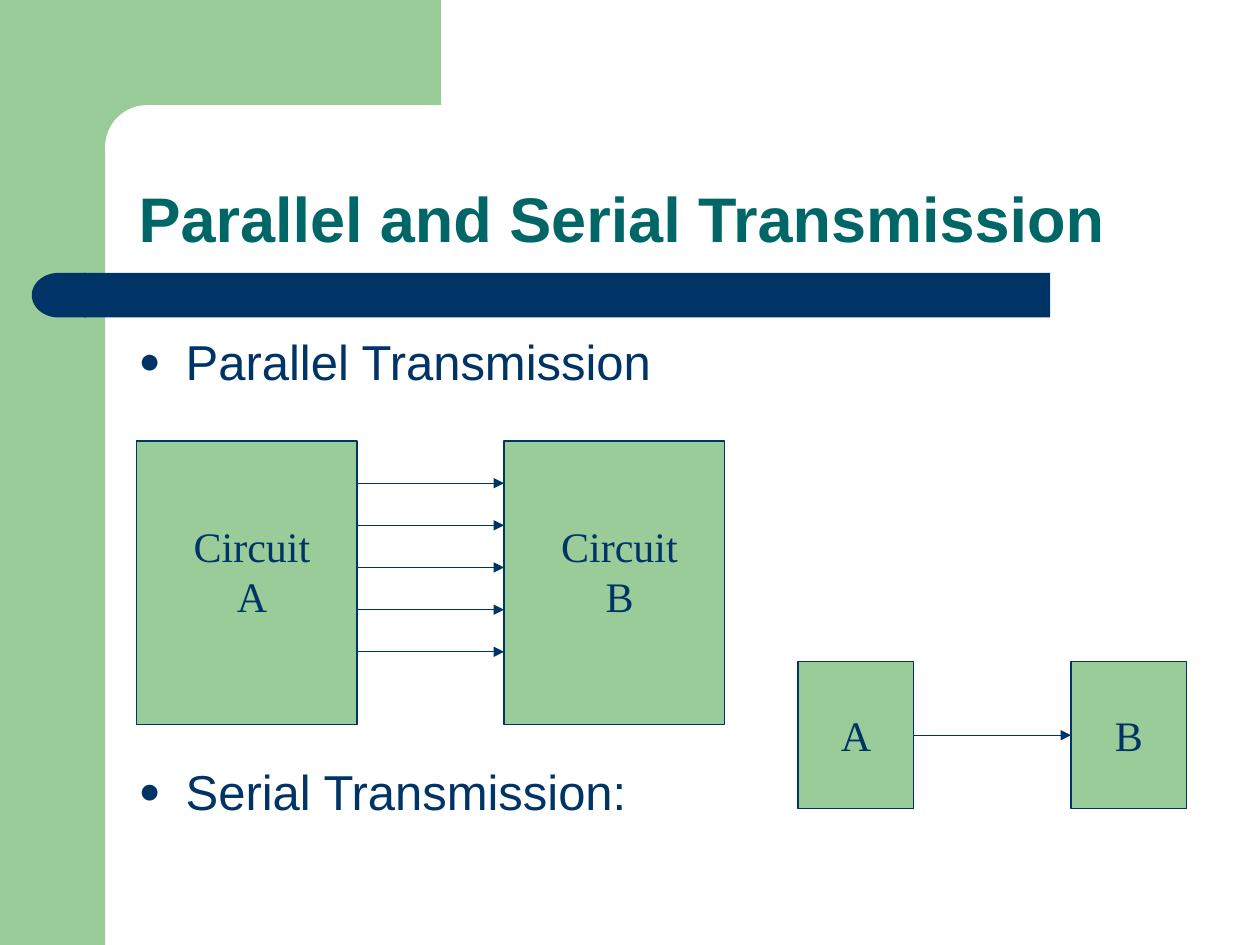
from lxml.etree import SubElement
from pptx import Presentation
from pptx.dml.color import RGBColor
from pptx.enum.shapes import MSO_CONNECTOR, MSO_SHAPE
from pptx.enum.text import MSO_ANCHOR, MSO_AUTO_SIZE, PP_ALIGN
from pptx.oxml.ns import qn
from pptx.util import Cm, Pt

GREEN, NAVY, TEAL, WHITE = "99CC99", "003366", "006666", "FFFFFF"
SANS, SERIF = "Arial", "Times New Roman"

# Content (lengths in cm)
TITLE = "Parallel and Serial Transmission"
BULLETS = [("Parallel Transmission", 7), ("Serial Transmission:", 212)]  # text, space before in pt
DECOR = [  # shape, box, fill
    (MSO_SHAPE.RECTANGLE, (0, 0, 2.12, 19.05), GREEN),
    (MSO_SHAPE.RECTANGLE, (1.9, 0, 6.99, 2.96), GREEN),
    (MSO_SHAPE.ROUNDED_RECTANGLE, (2.12, 2.12, 14.17, 1.69), WHITE),
    (MSO_SHAPE.RECTANGLE, (1.69, 5.5, 19.48, 0.9), NAVY),
    (MSO_SHAPE.FLOWCHART_DELAY, (0.64, 5.5, 1.09, 0.9), NAVY),
]
CIRCUITS = [("Circuit A", 2.75), ("Circuit B", 10.16)]
CIRCUIT_TOP, CIRCUIT_W, CIRCUIT_H = 8.89, 4.45, 5.72
WIRES, WIRE_TOP, WIRE_STEP = 5, 9.74, 0.85
ENDS = [("A", 16.09), ("B", 21.59)]
END_TOP, END_W, END_H, SERIAL_Y = 13.34, 2.33, 2.96, 14.82


def rgb(color):
    return RGBColor.from_string(color)


def cm(*values):
    return [Cm(v) for v in values]


def add_box(kind, box, fill, line=None):
    sp = s.shapes.add_shape(kind, *cm(*box))
    sp.shadow.inherit = False
    sp.fill.solid()
    sp.fill.fore_color.rgb = rgb(fill)
    if line:
        sp.line.color.rgb = rgb(line)
        sp.line.width = Pt(0.75)
    else:
        sp.line.fill.background()
    return sp


def add_run(p, text, font, size, color, bold=False):
    r = p.add_run()
    r.text = text
    r.font.name, r.font.size, r.font.bold = font, Pt(size), bold
    r.font.color.rgb = rgb(color)


def add_label(sp, text, anchor, wrap, before=0):
    tf = sp.text_frame
    tf.word_wrap, tf.vertical_anchor = wrap, anchor
    p = tf.paragraphs[0]
    p.alignment, p.space_before = PP_ALIGN.CENTER, Pt(before)
    add_run(p, text, SERIF, 24, NAVY)


def add_arrow(x1, x2, y):
    c = s.shapes.add_connector(MSO_CONNECTOR.STRAIGHT, *cm(x1, y, x2, y))
    c.line.color.rgb = rgb(NAVY)
    c.line.width = Pt(0.75)
    SubElement(c.line._get_or_add_ln(), qn("a:tailEnd"), type="triangle")
    SubElement(c._element.spPr, qn("a:effectLst"))


def add_bullet(p):
    pPr = p._p.get_or_add_pPr()
    pPr.set("marL", str(Cm(0.95)))
    pPr.set("indent", str(-Cm(0.95)))
    SubElement(SubElement(pPr, qn("a:buClr")), qn("a:srgbClr"), val=NAVY)
    SubElement(pPr, qn("a:buSzPct"), val="75000")
    SubElement(pPr, qn("a:buFont"), typeface=SANS)
    SubElement(pPr, qn("a:buChar"), char="●")


def place(ph, box, anchor):
    ph.left, ph.top, ph.width, ph.height = cm(*box)
    tf = ph.text_frame
    tf.word_wrap, tf.auto_size, tf.vertical_anchor = True, MSO_AUTO_SIZE.NONE, anchor
    s.shapes._spTree.append(ph._element)  # bring in front of the decoration
    return tf


prs = Presentation()
prs.slide_width, prs.slide_height = cm(25.4, 19.05)
s = prs.slides.add_slide(prs.slide_layouts[1])

# Decoration
for kind, box, fill in DECOR:
    sp = add_box(kind, box, fill)
    if kind == MSO_SHAPE.ROUNDED_RECTANGLE:
        sp.adjustments[0] = 0.5
    elif kind == MSO_SHAPE.FLOWCHART_DELAY:
        sp.rotation = 180

# Title and bullets
tf = place(s.shapes.title, (2.54, 2.12, 22.23, 3.18), MSO_ANCHOR.BOTTOM)
p = tf.paragraphs[0]
p.alignment, p.line_spacing = PP_ALIGN.LEFT, 0.9
add_run(p, TITLE, SANS, 36, TEAL, bold=True)

tf = place(s.placeholders[1], (2.54, 6.56, 22.23, 10.37), MSO_ANCHOR.TOP)
for i, (text, before) in enumerate(BULLETS):
    p = tf.add_paragraph() if i else tf.paragraphs[0]
    p.space_before = Pt(before)
    add_bullet(p)
    add_run(p, text, SANS, 28, NAVY)

# Parallel circuits
for text, x in CIRCUITS:
    add_box(MSO_SHAPE.RECTANGLE, (x, CIRCUIT_TOP, CIRCUIT_W, CIRCUIT_H), GREEN, NAVY)
for i in range(WIRES):
    add_arrow(CIRCUITS[0][1] + CIRCUIT_W, CIRCUITS[1][1], WIRE_TOP + i * WIRE_STEP)
for text, x in CIRCUITS:
    label = s.shapes.add_textbox(*cm(x + 0.85, CIRCUIT_TOP + 1.48, 2.96, 2.29))
    add_label(label, text, MSO_ANCHOR.TOP, True, before=15)

# Serial link
for text, x in ENDS:
    sp = add_box(MSO_SHAPE.RECTANGLE, (x, END_TOP, END_W, END_H), GREEN, NAVY)
    add_label(sp, text, MSO_ANCHOR.MIDDLE, False)
add_arrow(ENDS[0][1] + END_W, ENDS[1][1], SERIAL_Y)

prs.save("out.pptx")
